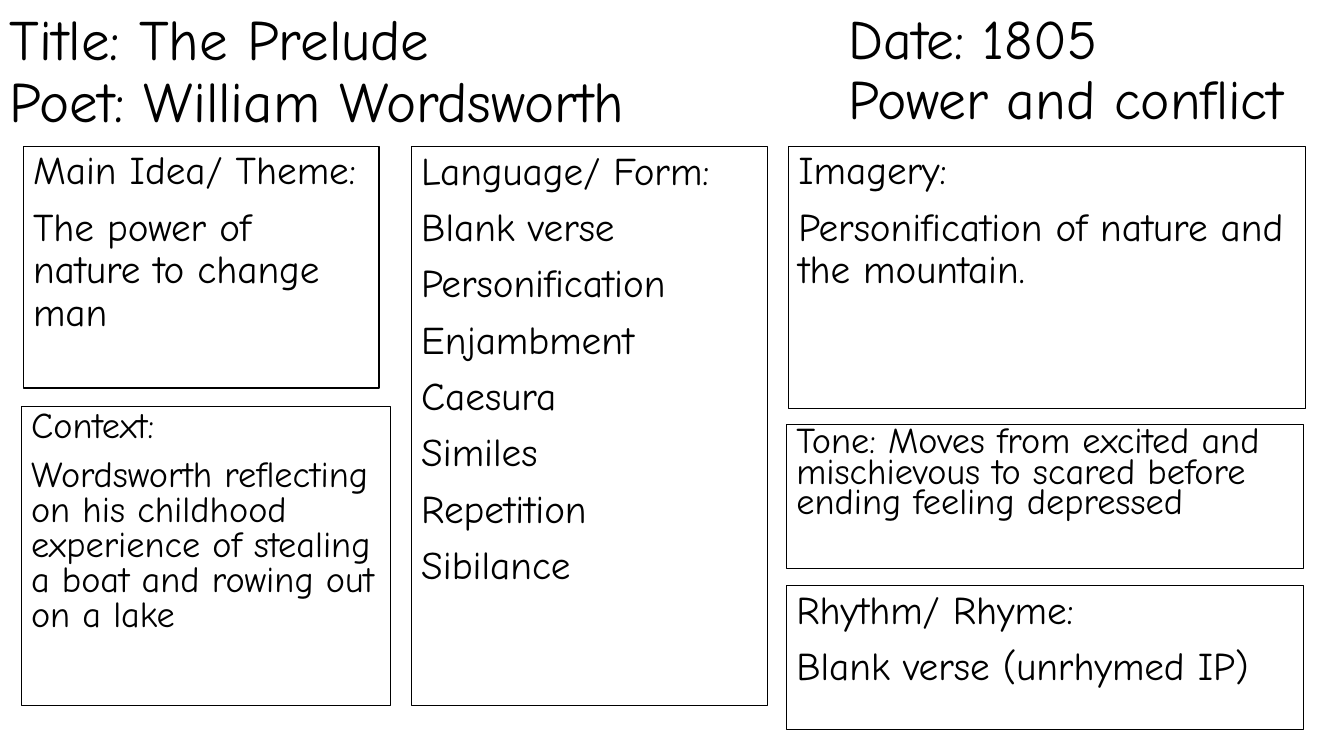
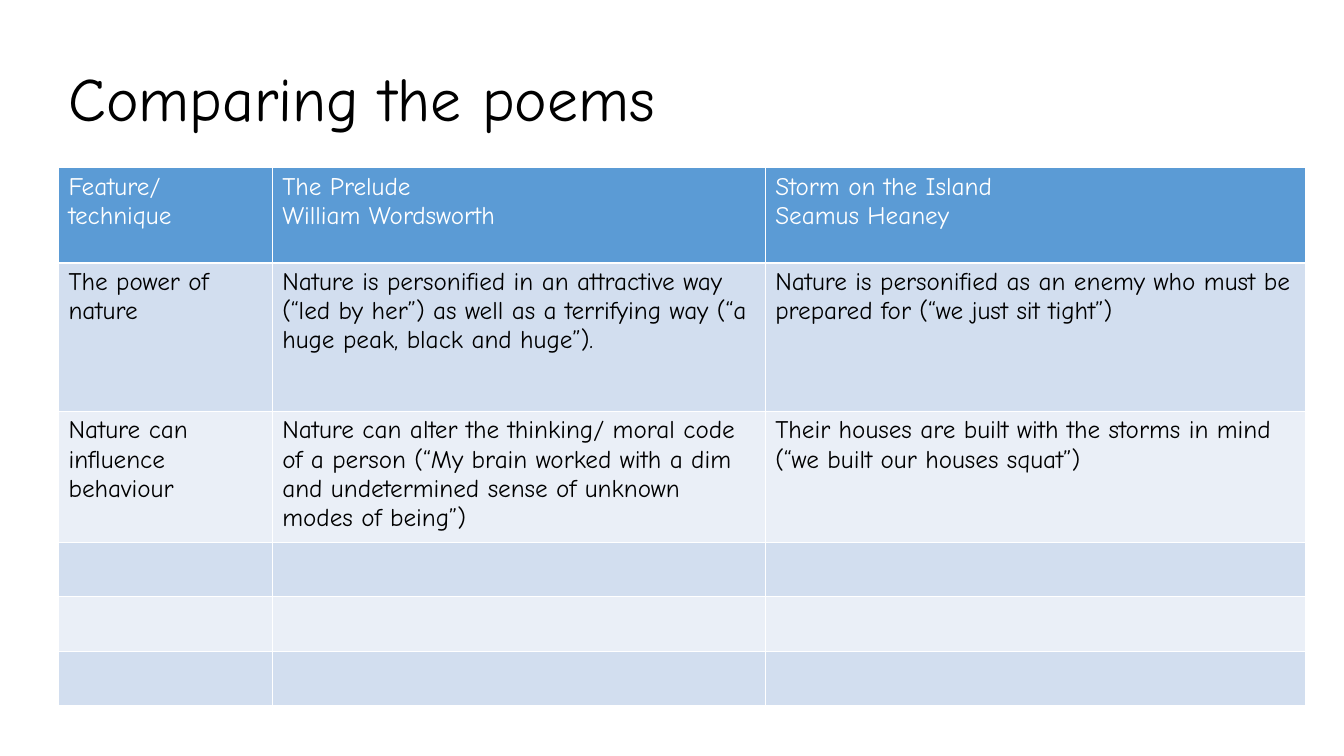
from dataclasses import dataclass

from lxml.etree import SubElement
from pptx import Presentation
from pptx.dml.color import RGBColor as RGB
from pptx.enum.shapes import MSO_SHAPE as Shape
from pptx.enum.text import MSO_ANCHOR as Anchor, PP_ALIGN as Align
from pptx.oxml.ns import qn
from pptx.util import Inches, Pt


@dataclass(frozen=True)
class Theme:
    font: str = "Comic Neue"
    ink: RGB = RGB(0x00, 0x00, 0x00)
    paper: RGB = RGB(0xFF, 0xFF, 0xFF)
    header: RGB = RGB(0x5B, 0x9B, 0xD5)
    bands: tuple = (RGB(0xD2, 0xDE, 0xEF), RGB(0xEA, 0xEF, 0xF7))
    title: float = 44
    heading: float = 40.7
    side_heading: float = 39.6
    note: float = 28
    small_note: float = 25.9
    cell: float = 18
    spacing: float = 0.9
    gap: float = 10
    outline: float = 0.75
    grid: float = 1


class Deck:
    def __init__(self, theme):
        self.theme = theme
        self.prs = Presentation()
        self.prs.slide_width, self.prs.slide_height = Inches(13.33), Inches(7.5)
        self.slide = None

    def new_slide(self):
        self.slide = self.prs.slides.add_slide(self.prs.slide_layouts[6])

    def set_lines(self, frame, lines, size, color, spacing=1.0, gap=0):
        """Fill a text frame with one paragraph per line."""
        frame.word_wrap = True
        for i, line in enumerate(lines):
            para = frame.add_paragraph() if i else frame.paragraphs[0]
            para.text = line
            para.alignment = Align.LEFT
            para.line_spacing = spacing
            para.space_before = Pt(gap if i else 0)
            para.font.name = self.theme.font
            para.font.size = Pt(size)
            para.font.color.rgb = color

    def heading(self, box, text, size):
        frame = self.slide.shapes.add_textbox(*map(Inches, box)).text_frame
        frame.vertical_anchor = Anchor.MIDDLE
        self.set_lines(frame, [text], size, self.theme.ink, self.theme.spacing)

    def note(self, box, lines, size=None, spacing=None):
        """Outlined box of notes about the poem."""
        theme = self.theme
        panel = self.slide.shapes.add_shape(Shape.RECTANGLE, *map(Inches, box))
        panel.shadow.inherit = False
        panel.fill.background()
        panel.line.color.rgb = theme.ink
        panel.line.width = Pt(theme.outline)
        panel.text_frame.vertical_anchor = Anchor.TOP
        self.set_lines(panel.text_frame, lines, size or theme.note, theme.ink,
                       spacing or theme.spacing, theme.gap)

    def cell_borders(self, cell):
        props = cell._tc.get_or_add_tcPr()
        for i, side in enumerate(("a:lnL", "a:lnR", "a:lnT", "a:lnB")):
            line = SubElement(props, qn(side), w=str(Pt(self.theme.grid)))
            fill = SubElement(line, qn("a:solidFill"))
            SubElement(fill, qn("a:srgbClr"), val=str(self.theme.paper))
            props.insert(i, line)

    def table(self, left, top, widths, heights, rows):
        """Banded table; rows beyond the given text stay empty."""
        theme = self.theme
        grid = self.slide.shapes.add_table(
            len(heights), len(widths), Inches(left), Inches(top),
            Inches(sum(widths)), Inches(sum(heights))).table
        for column, width in zip(grid.columns, widths):
            column.width = Inches(width)
        for r, height in enumerate(heights):
            grid.rows[r].height = Inches(height)
            texts = rows[r] if r < len(rows) else [""] * len(widths)
            for c, text in enumerate(texts):
                cell = grid.cell(r, c)
                cell.fill.solid()
                cell.fill.fore_color.rgb = theme.bands[(r - 1) % 2] if r else theme.header
                self.cell_borders(cell)
                self.set_lines(cell.text_frame, text.split("\n"), theme.cell,
                               theme.ink if r else theme.paper)


def poem_notes(deck):
    theme = deck.theme
    top = 1.45
    deck.new_slide()

    # Headings
    deck.heading((0, 0, 7.24, top), "Title: The Prelude\vPoet: William Wordsworth",
                 theme.heading)
    deck.heading((8.32, 0.14, 5.01, 1.14), "Date: 1805\vPower and conflict",
                 theme.side_heading)

    # Left column
    deck.note((0.23, top, 3.53, 2.4),
              ["Main Idea/ Theme:", "The power of nature to change man"])
    deck.note((0.21, 4.03, 3.66, 2.97),
              ["Context:", "Wordsworth reflecting on his childhood experience of "
               "stealing a boat and rowing out on a lake"],
              theme.small_note, 0.8)

    # Middle column
    deck.note((4.08, top, 3.53, 5.55),
              ["Language/ Form:", "Blank verse", "Personification", "Enjambment",
               "Caesura", "Similes", "Repetition", "Sibilance"])

    # Right column
    deck.note((7.82, top, 5.13, 2.6),
              ["Imagery:", "Personification of nature and the mountain."])
    deck.note((7.8, 4.21, 5.13, 1.43),
              ["Tone: Moves from excited and mischievous to scared before "
               "ending feeling depressed"],
              theme.small_note, 0.7)
    deck.note((7.8, 5.81, 5.13, 1.43),
              ["Rhythm/ Rhyme:", "Blank verse (unrhymed IP)"])


def poem_comparison(deck):
    deck.new_slide()
    deck.heading((0.58, 0.17, 12.36, 1.68), "Comparing the poems", deck.theme.title)
    deck.table(0.58, 1.66, [2.12, 4.89, 5.36], [0.95, 1.47, 1.26] + [0.54] * 3, [
        ["Feature/ technique", "The Prelude\nWilliam Wordsworth",
         "Storm on the Island\nSeamus Heaney"],
        ["The power of nature",
         "Nature is personified in an attractive way (“led by her”) as well as "
         "a terrifying way (“a huge peak, black and huge”).",
         "Nature is personified as an enemy who must be prepared for "
         "(“we just sit tight”)"],
        ["Nature can influence behaviour",
         "Nature can alter the thinking/ moral code of a person (“My brain worked "
         "with a dim and undetermined sense of unknown modes of being”)",
         "Their houses are built with the storms in mind "
         "(“we built our houses squat”)"],
    ])


def main():
    deck = Deck(Theme())
    poem_notes(deck)
    poem_comparison(deck)
    deck.prs.save("out.pptx")


if __name__ == "__main__":
    main()
